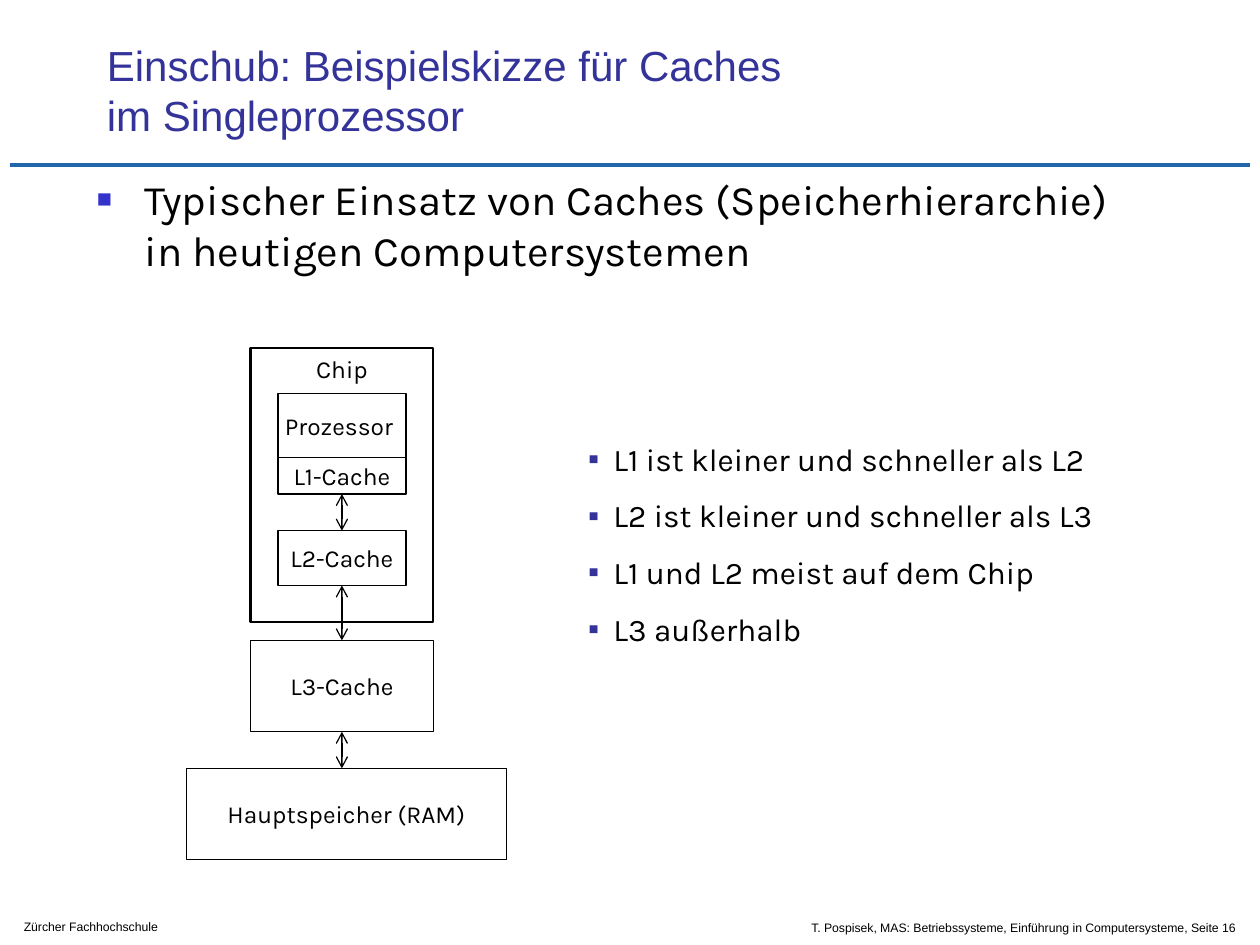
from dataclasses import dataclass

from lxml import etree
from pptx import Presentation
from pptx.dml.color import RGBColor
from pptx.enum.shapes import MSO_CONNECTOR, MSO_SHAPE
from pptx.enum.text import MSO_ANCHOR, PP_ALIGN
from pptx.oxml.ns import qn
from pptx.util import Inches, Pt

RECTANGLE = MSO_SHAPE.RECTANGLE
STRAIGHT = MSO_CONNECTOR.STRAIGHT
TOP, MIDDLE, BOTTOM = MSO_ANCHOR.TOP, MSO_ANCHOR.MIDDLE, MSO_ANCHOR.BOTTOM
CENTER = PP_ALIGN.CENTER


@dataclass(frozen=True)
class Theme:
    heading_font: str = "Arial"
    body_font: str = "Karla"
    black: str = "000000"
    white: str = "FFFFFF"
    title: str = "333399"
    bullet: str = "3333CC"
    rule: str = "2266AB"
    heading_size: int = 24
    list_size: int = 18
    box_size: int = 14
    footer_size: int = 7
    rule_width: float = 2.5
    chip_width: float = 1.25
    thin_width: float = 0.75


THEME = Theme()

# Diagram grid: the main memory box is 35 columns wide
GRID_LEFT, GRID_TOP = 1.48, 2.76
UNIT = 2.54 / 35
AXIS = 17

# label, column, row, columns, rows
MEMORY_LEVELS = [
    ("Prozessor ", 10, 5, 14, 7),
    ("L2-Cache", 10, 20, 14, 6),
    ("L1-Cache", 10, 12, 14, 4),
    ("L3-Cache", 7, 32, 20, 10),
    ("Hauptspeicher (RAM)", 0, 46, 35, 10),
]
ARROW_ROWS = [(16, 20), (26, 32), (42, 46)]

FACTS = [
    "L1 ist kleiner und schneller als L2",
    "L2 ist kleiner und schneller als L3 ",
    "L1 und L2 meist auf dem Chip",
    "L3 außerhalb",
]


def grid_point(column, row):
    return Inches(GRID_LEFT + column * UNIT), Inches(GRID_TOP + row * UNIT)


def set_font(paragraph, name, size, color):
    paragraph.font.name = name
    paragraph.font.size = Pt(size)
    paragraph.font.color.rgb = RGBColor.from_string(color)


def add_text(slide, area, lines, name, size, color, anchor=TOP):
    textbox = slide.shapes.add_textbox(*map(Inches, area))
    frame = textbox.text_frame
    frame.word_wrap = True
    frame.vertical_anchor = anchor
    frame.text = "\n".join(lines)
    for paragraph in frame.paragraphs:
        set_font(paragraph, name, size, color)
    return frame.paragraphs


def set_bullet(paragraph, character, color, indent, percent=100):
    properties = paragraph._p.get_or_add_pPr()
    properties.set("marL", str(Inches(indent)))
    properties.set("indent", str(-Inches(indent)))
    bullet_color = etree.SubElement(properties, qn("a:buClr"))
    etree.SubElement(bullet_color, qn("a:srgbClr"), val=color)
    etree.SubElement(properties, qn("a:buSzPct"), val=str(percent * 1000))
    etree.SubElement(properties, qn("a:buFont"), typeface=THEME.heading_font)
    etree.SubElement(properties, qn("a:buChar"), char=character)


def add_box(slide, label, column, row, columns, rows,
            width=THEME.thin_width, anchor=MIDDLE):
    size = Inches(columns * UNIT), Inches(rows * UNIT)
    box = slide.shapes.add_shape(RECTANGLE, *grid_point(column, row), *size)
    box.shadow.inherit = False
    box.fill.solid()
    box.fill.fore_color.rgb = RGBColor.from_string(THEME.white)
    box.line.color.rgb = RGBColor.from_string(THEME.black)
    box.line.width = Pt(width)
    frame = box.text_frame
    frame.word_wrap = False
    frame.vertical_anchor = anchor
    frame.text = label
    paragraph = frame.paragraphs[0]
    paragraph.alignment = CENTER
    set_font(paragraph, THEME.body_font, THEME.box_size, THEME.black)


def add_line(slide, start, end, color, width, arrows=False):
    line = slide.shapes.add_connector(STRAIGHT, *start, *end)
    line.line.color.rgb = RGBColor.from_string(color)
    line.line.width = Pt(width)
    if arrows:
        outline = line.line._get_or_add_ln()
        for end_tag in ("a:headEnd", "a:tailEnd"):
            etree.SubElement(outline, qn(end_tag), type="arrow")
    etree.SubElement(line._element.spPr, qn("a:effectLst"))


def add_frame(slide):
    rule_ends = [(Inches(x), Inches(1.31)) for x in (0.08, 9.92)]
    add_line(slide, *rule_ends, THEME.rule, THEME.rule_width)
    footer_style = THEME.heading_font, THEME.footer_size, THEME.black
    add_text(slide, (0.09, 7.25, 1.72, 0.22), ["Zürcher Fachhochschule"],
             *footer_style)
    add_text(slide, (6.34, 7.2, 4.21, 0.33),
             ["T. Pospisek, MAS: Betriebssysteme, "
              "Einführung in Computersysteme, Seite 16"],
             *footer_style, anchor=MIDDLE)


def add_headings(slide):
    add_text(slide, (0.75, 0.33, 8.52, 0.83),
             ["Einschub: Beispielskizze für Caches\vim Singleprozessor"],
             THEME.heading_font, THEME.heading_size, THEME.title, BOTTOM)
    statement = add_text(
        slide, (0.67, 1.33, 8.5, 1.24),
        ["Typischer Einsatz von Caches (Speicherhierarchie) "
         "in heutigen Computersystemen"],
        THEME.body_font, THEME.heading_size, THEME.black)[0]
    statement.space_before = Pt(12)
    set_bullet(statement, "■", THEME.bullet, 0.38, 60)


def add_diagram(slide):
    add_box(slide, "Chip", 7, 0, 20, 30, THEME.chip_width, TOP)
    for level in MEMORY_LEVELS:
        add_box(slide, *level)
    for upper, lower in ARROW_ROWS:
        add_line(slide, grid_point(AXIS, upper), grid_point(AXIS, lower),
                 THEME.black, THEME.thin_width, arrows=True)


def add_facts(slide):
    paragraphs = add_text(slide, (4.57, 3.29, 4.96, 1.9), FACTS,
                          THEME.body_font, THEME.list_size, THEME.black)
    for paragraph in paragraphs:
        paragraph.line_spacing = 1.5
        set_bullet(paragraph, "▪", THEME.title, 0.2)


def main():
    presentation = Presentation()
    presentation.slide_width = Inches(10)
    presentation.slide_height = Inches(7.5)
    slide = presentation.slides.add_slide(presentation.slide_layouts[6])
    add_frame(slide)
    add_headings(slide)
    add_diagram(slide)
    add_facts(slide)
    presentation.save("out.pptx")


main()
